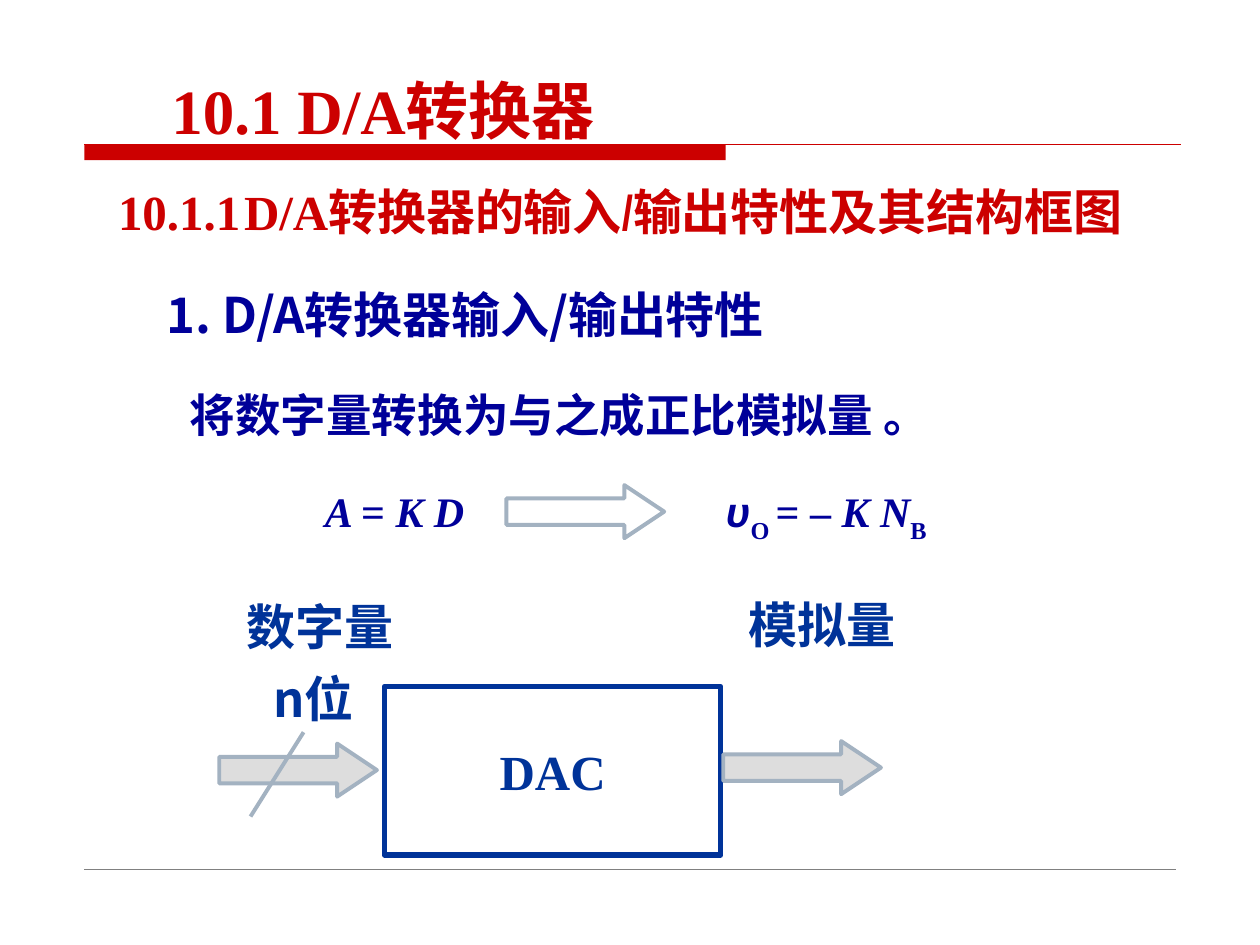
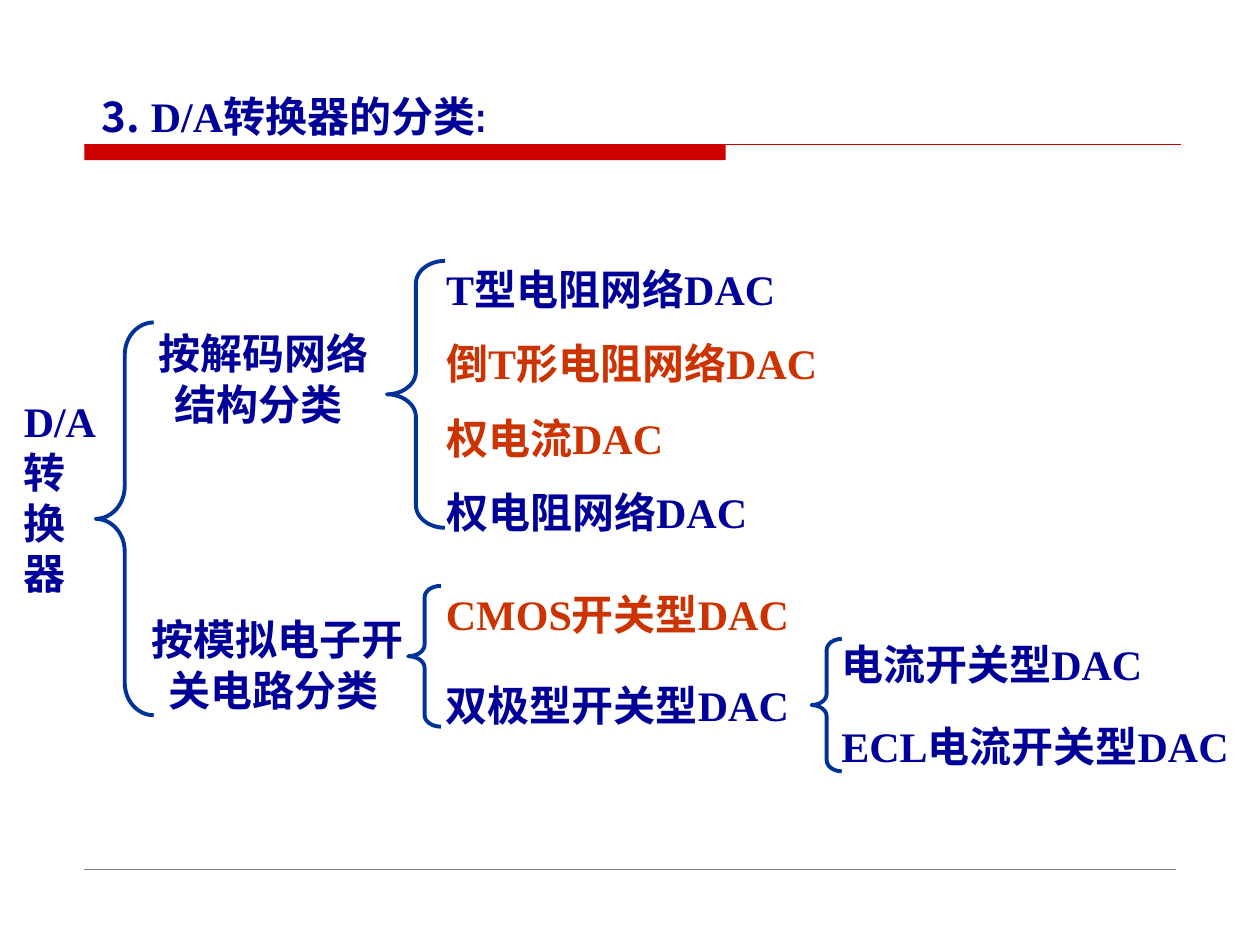
"""Build two slides on D/A converters: characteristics and classification."""
from dataclasses import dataclass

from lxml.etree import SubElement
from pptx import Presentation
from pptx.dml.color import RGBColor as Color
from pptx.enum.shapes import MSO_CONNECTOR as Connector, MSO_SHAPE as Shape
from pptx.enum.text import MSO_ANCHOR as Anchor, MSO_AUTO_SIZE as AutoSize, PP_ALIGN as Align
from pptx.oxml.ns import qn
from pptx.util import Cm, Pt


@dataclass(frozen=True)
class Theme:
    red: str = "CC0000"
    orange: str = "CC3300"
    navy: str = "000099"
    blue: str = "003399"
    steel: str = "A3B2C1"
    silver: str = "DDDDDD"
    grey: str = "808080"
    serif: str = "Times New Roman"
    sans: str = "Noto Sans CJK SC"
    narrow: str = "Arial Narrow"
    symbol: str = "Arial"
    title: int = 36
    heading: int = 28
    statement: int = 26
    text: int = 24
    leading: float = 1.21


theme = Theme()


def write(shape, paragraphs, place=None, size=theme.text, color=theme.navy, font=theme.serif,
          align=Align.LEFT, anchor=Anchor.TOP, gap=0, tab=None, wrap=True, margins=True):
    """Fill a shape with paragraphs, each a string or a list of (text, format) spans."""
    if place:
        shape.left, shape.top, shape.width, shape.height = map(Cm, place)
    frame = shape.text_frame
    frame.word_wrap, frame.auto_size, frame.vertical_anchor = wrap, AutoSize.NONE, anchor
    if not margins:
        frame.margin_left = frame.margin_right = frame.margin_top = 0
    for index, content in enumerate(paragraphs):
        para = frame.add_paragraph() if index else frame.paragraphs[0]
        properties = para._p.get_or_add_pPr()
        properties.set("marL", "0")
        properties.set("indent", "0")
        SubElement(properties, qn("a:buNone"))
        if tab:
            stops = SubElement(properties, qn("a:tabLst"))
            SubElement(stops, qn("a:tab"), pos=str(Cm(tab)), algn="l")
        para.alignment = align
        para.line_spacing = Pt(round(size * theme.leading, 1))
        para.space_before = Pt(gap if index else 0)
        para.space_after = Pt(0)
        spans = [(content, {})] if isinstance(content, str) else content
        for text, style in spans:
            span = para.add_run()
            span.text = text
            span.font.size, span.font.bold = Pt(size), True
            span.font.italic = style.get("italic", False)
            span.font.color.rgb = Color.from_string(style.get("color", color))
            span.font.name = style.get("font", font)
            run_properties = span._r.get_or_add_rPr()
            SubElement(run_properties, qn("a:ea"), typeface=theme.sans)
            if style.get("subscript"):
                run_properties.set("baseline", "-30000")


def draw(page, kind, place, line=None, fill=None, width=2.25, adjust=()):
    """Draw a preset shape, or a straight line from two end points."""
    lengths = [Cm(value) for value in place]
    if kind is Connector.STRAIGHT:
        shape = page.shapes.add_connector(kind, *lengths)
        SubElement(shape.element.spPr, qn("a:effectLst"))
    else:
        shape = page.shapes.add_shape(kind, *lengths)
        shape.shadow.inherit = False
        for index, value in enumerate(adjust):
            shape.adjustments[index] = value
        if fill:
            shape.fill.solid()
            shape.fill.fore_color.rgb = Color.from_string(fill)
        else:
            shape.fill.background()
    if line:
        shape.line.color.rgb = Color.from_string(line)
        shape.line.width = Pt(width)
    else:
        shape.line.fill.background()
    return shape


deck = Presentation()
deck.slide_width, deck.slide_height = Cm(25.4), Cm(19.05)
layout = deck.slide_layouts[1]
page = deck.slides.add_slide(layout)

bands = [
    draw(page, Shape.RECTANGLE, (1.7, 2.92, 12.93, 0.31), fill=theme.red),
    draw(page, Connector.STRAIGHT, (1.7, 2.92, 23.8, 2.92), theme.red, width=0.75),
    draw(page, Connector.STRAIGHT, (1.7, 17.53, 23.7, 17.53), theme.grey, width=0.25),
]
for number, band in enumerate(bands, 100):
    band.element.xpath(".//p:cNvPr")[0].set("id", str(number))
    layout.shapes.element.append(band.element)

write(page.shapes.title, [[("10.1\tD/A", {}), ("转换器", {"font": theme.sans})]],
      (3.2, 1.3, 9.65, 1.78), size=theme.title, color=theme.red, tab=2.49, wrap=False)
write(page.placeholders[1], ["1. D/A转换器输入/输出特性"], (3.1, 5.59, 13.87, 1.45),
      size=theme.heading, font=theme.sans)

italic, subscript = {"italic": True}, {"subscript": True}
box = page.shapes.add_textbox(0, 0, 0, 0)
write(box, [[("10.1.1\tD/A", {}), ("转换器的输入/输出特性及其结构框图", {"font": theme.narrow})]],
      (2.13, 3.53, 22.96, 1.57), size=theme.heading, color=theme.red, tab=2.97, wrap=False)
box = page.shapes.add_textbox(0, 0, 0, 0)
write(box, ["将数字量转换为与之成正比模拟量 。"], (3.58, 7.67, 18.82, 1.47),
      size=theme.statement, font=theme.sans)

formulas = [
    ((6.3, 9.65, 5.03, 1.45), [("A ", italic), ("= ", {}), ("K D", italic)]),
    ((14.38, 9.83, 5.56, 1.45), [("υ", {"italic": True, "font": theme.symbol}), ("O ", subscript),
                                 ("= – ", {}), ("K N", italic), ("B", subscript)]),
]
for place, formula in formulas:
    write(page.shapes.add_textbox(0, 0, 0, 0), [formula], place)

signal_labels = [("数字量", 4.22, 11.89, 4.45), ("n位", 5.05, 13.34, 2.54),
                 ("模拟量", 14.35, 11.86, 4.45)]
for label, left, top, width in signal_labels:
    write(page.shapes.add_textbox(0, 0, 0, 0), [label], (left, top, width, 1.45),
          size=theme.heading, color=theme.blue, font=theme.sans, align=Align.CENTER)

converter = draw(page, Shape.RECTANGLE, (7.75, 13.84, 6.78, 3.4), theme.blue, width=3)
write(converter, ["DAC"], size=theme.heading, color=theme.blue,
      align=Align.CENTER, anchor=Anchor.MIDDLE)
for left, top, fill in [(10.21, 9.78, None), (4.42, 14.99, theme.silver),
                        (14.58, 14.94, theme.silver)]:
    draw(page, Shape.RIGHT_ARROW, (left, top, 3.18, 1.07), theme.steel, fill, adjust=(0.5, 0.75))
draw(page, Connector.STRAIGHT, (6.12, 14.76, 5.05, 16.46), theme.steel)

page = deck.slides.add_slide(layout)
write(page.shapes.title, [[("3.", {"font": theme.sans}), (" D/A", {}),
                           ("转换器的分类:", {"font": theme.narrow})]], (1.8, 1.7, 15.6, 1.37))
highlight = {"color": theme.orange}
write(page.placeholders[1],
      ["T型电阻网络DAC", [("倒T形电阻网络DAC", highlight)], [("权电流DAC", highlight)],
       "权电阻网络DAC"], (8.74, 5.18, 12.01, 5.9), gap=13.5)

write(page.shapes.add_textbox(0, 0, 0, 0), ["D/A", "转", "换", "器"], (0.48, 7.98, 1.98, 4.19),
      anchor=Anchor.MIDDLE, margins=False)
for category, top, width in [("按解码网络结构分类 ", 6.48, 5.18),
                             ("按模拟电子开关电路分类 ", 12.24, 5.77)]:
    write(page.shapes.add_textbox(0, 0, 0, 0), [category], (2.72, top, width, 2.29),
          align=Align.CENTER)

switch_types = [("CMOS开关型DAC", 8.74, 11.73, theme.orange),
                ("双极型开关型DAC", 8.74, 13.56, theme.navy),
                ("电流开关型DAC", 16.71, 12.75, theme.navy),
                ("ECL电流开关型DAC", 16.71, 14.4, theme.navy)]
for label, left, top, color in switch_types:
    write(page.shapes.add_textbox(0, 0, 0, 0), [label], (left, top, 8.69, 1.27),
          color=color, wrap=False)

braces = [(1.93, 6.5, 1.17, 7.92, 0.56), (7.8, 5.26, 1.17, 5.38, 0.39),
          (8.23, 11.81, 0.66, 2.84, 0.35), (16.36, 12.88, 0.61, 2.67, 0.37)]
for *place, curve in braces:
    draw(page, Shape.LEFT_BRACE, place, theme.blue, adjust=(curve, 0.5))

deck.save("out.pptx")
